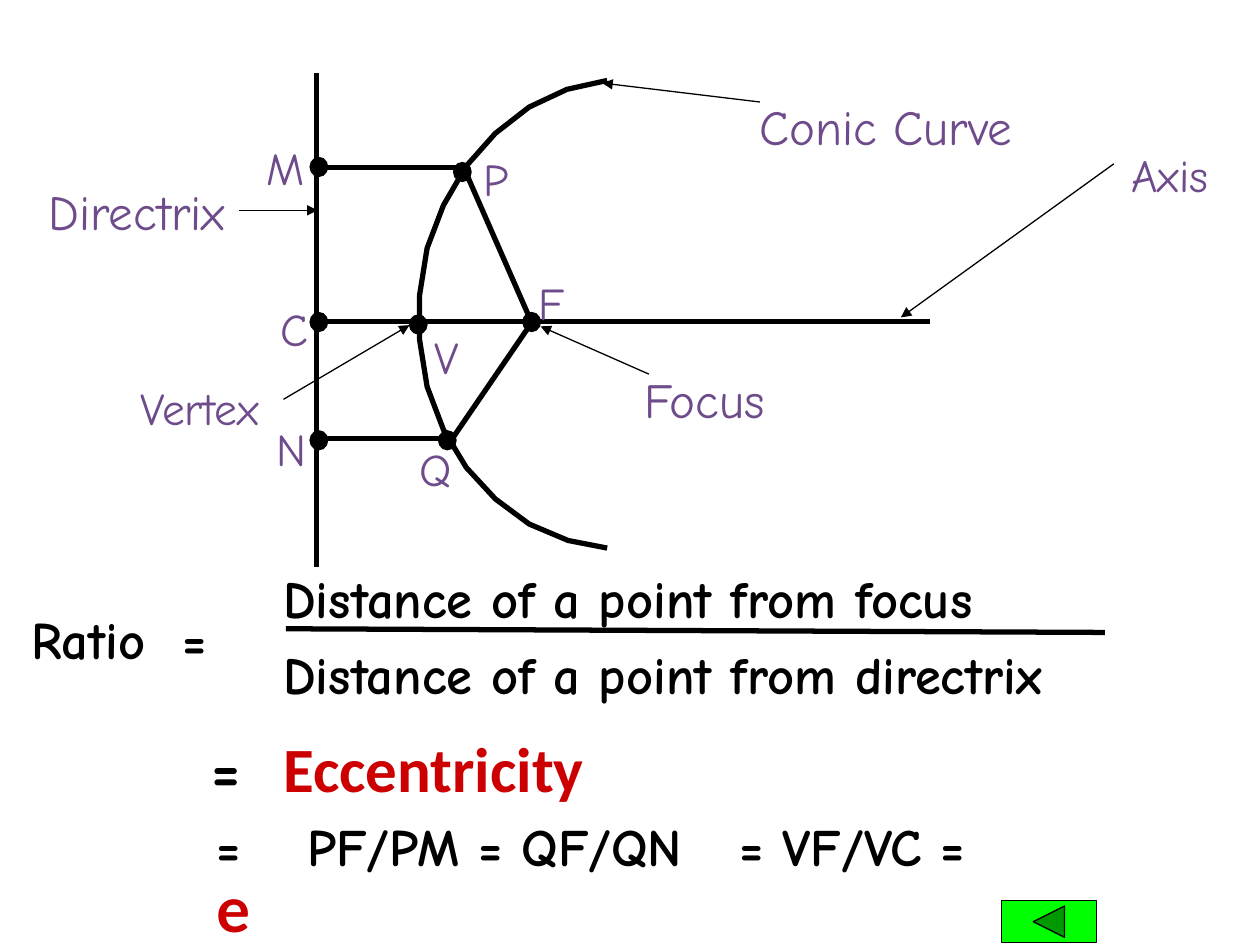
from lxml.etree import SubElement
from pptx import Presentation
from pptx.dml.color import RGBColor as RGB
from pptx.enum.shapes import MSO_CONNECTOR as CONN, MSO_SHAPE as SHAPE
from pptx.enum.text import MSO_AUTO_SIZE as FIT, PP_ALIGN as AL
from pptx.oxml.ns import qn
from pptx.util import Pt

C = {"black": "000000", "label": "6E4B8B", "red": "CC0000", "button": "00FF00"}

LABELS = [
    ("N", 149.8, 227.5, 33, 26, AL.CENTER),
    ("Q", 221.8, 239, 54, 26, AL.CENTER),
    ("M", 139.7, 67, 46.8, 26, AL.CENTER),
    ("P", 267.1, 73.4, 33, 26, AL.CENTER),
    ("F", 293.8, 144, 43.2, 26, AL.CENTER),
    ("C", 144, 159.1, 49, 26, AL.CENTER),
    ("V", 236.2, 175, 33, 26, AL.RIGHT),
    ("Axis", 629.3, 71.3, 78.5, 26, AL.CENTER),
    ("Vertex", 41.8, 204.5, 144.7, 26, AL.CENTER),
    ("Focus", 353.5, 197.3, 97.9, 28, AL.CENTER),
    ("Conic Curve", 416.2, 41.8, 180, 28, AL.CENTER),
    ("Directrix", 0, 90, 156.2, 28, AL.CENTER),
]
BOLD = {"size": Pt(30), "name": "Comic Neue", "bold": True}
BIG = {**BOLD, "size": Pt(36)}
FORMULAS = [
    ((10.8, 332.6, 149.8, 54), AL.LEFT, 1.3, [86.5], [("Ratio\t=", BOLD, "black")]),
    ((154.8, 308.9, 498.2, 54), AL.JUSTIFY, 1.3, [],
     [("Distance of a point from focus", BOLD, "black")]),
    ((154.8, 352.8, 563.8, 54), AL.JUSTIFY, 1.3, [],
     [("Distance of a point from directrix", BOLD, "black")]),
    ((113.8, 400.3, 363.6, 63.4), AL.JUSTIFY, 1.3, [41],
     [("=\t", BIG, "black"), ("Eccentricity", {**BIG, "name": "Calibri"}, "red")]),
    ((116.6, 465.8, 473.8, 78.5), AL.LEFT, 0.9, [52, 299],
     [("=\tPF/PM = QF/QN\t= VF/VC =\v", BOLD, "black"),
      ("e", {**BIG, "name": "Lato"}, "red")]),
]
LINES = [
    (180.7, 41.8, 180.7, 324),
    (180, 183.6, 531.4, 183.6),
    (180.7, 95.8, 265, 95.8),
    (181.4, 250.6, 259.2, 250.6),
    (265, 95.8, 303.8, 184.3),
    (305.3, 182.2, 258.5, 250.6),
    (163.4, 359.3, 631.4, 361.4),
]
ARROWS = [
    (636.5, 93.6, 514.8, 181.4),
    (370.8, 213.8, 308.9, 186.5),
    (434.2, 58.3, 344.2, 47.5),
    (136.8, 120.2, 181.4, 120.2),
    (162, 228.2, 234, 185.8),
]
DOT_CENTRES = [(264.2, 98.3), (255.6, 251.6), (303.8, 184), (239, 185.4),
               (182.2, 184), (182.2, 95.4), (182.2, 251.6)]
DOT_W, DOT_H = 10, 10.8
CURVE = [(347, 46), (324, 51.1), (302.4, 61.2), (283, 76.3), (266.4, 95),
         (253.4, 117.4), (244.1, 141.8), (239.8, 168.5), (239.8, 194.4),
         (244.1, 221), (253.4, 245.5), (266.4, 267.1), (283, 285.1),
         (302.4, 299.5), (324.7, 308.9), (347, 313.2)]


def paint_line(s, width):
    s.line.color.rgb = RGB.from_string(C["black"])
    s.line.width = Pt(width)


def add_text(slide, box, align, spacing, tabs, runs):
    s = slide.shapes.add_textbox(*map(Pt, box))
    tf = s.text_frame
    tf.word_wrap = True
    tf.auto_size = FIT.SHAPE_TO_FIT_TEXT
    p = tf.paragraphs[0]
    for key, value in {"alignment": align, "line_spacing": spacing}.items():
        setattr(p, key, value)
    if tabs:
        stops = SubElement(p._p.get_or_add_pPr(), qn("a:tabLst"))
        for pos in tabs:
            SubElement(stops, qn("a:tab"), pos=str(Pt(pos)), algn="l")
    for text, style, color in runs:
        r = p.add_run()
        r.text = text.rstrip("\v")
        for key, value in style.items():
            setattr(r.font, key, value)
        r.font.color.rgb = RGB.from_string(C[color])
        if text.endswith("\v"):
            p.add_line_break()


def add_line(slide, ends, width, arrow=False):
    s = slide.shapes.add_connector(CONN.STRAIGHT, *map(Pt, ends))
    paint_line(s, width)
    if arrow:
        SubElement(s.line._get_or_add_ln(), qn("a:tailEnd"), type="triangle")
    SubElement(s._element.spPr, qn("a:effectLst"))


def add_solid(slide, kind, box, color):
    s = slide.shapes.add_shape(kind, *map(Pt, box))
    s.shadow.inherit = False
    s.fill.solid()
    s.fill.fore_color.rgb = RGB.from_string(C[color])
    paint_line(s, 0.75)


def add_curve(slide):
    points = [(Pt(x), Pt(y)) for x, y in CURVE]
    builder = slide.shapes.build_freeform(*points[0])
    builder.add_line_segments(points[1:], close=False)
    s = builder.convert_to_shape()
    s.shadow.inherit = False
    s.fill.background()
    paint_line(s, 3)


def main():
    prs = Presentation()
    prs.slide_width, prs.slide_height = Pt(720), Pt(540)
    slide = prs.slides.add_slide(prs.slide_layouts[6])
    for ends in LINES:
        add_line(slide, ends, 3)
    add_curve(slide)
    for ends in ARROWS:
        add_line(slide, ends, 0.75, arrow=True)
    for x, y in DOT_CENTRES:
        add_solid(slide, SHAPE.OVAL, (x - DOT_W / 2, y - DOT_H / 2, DOT_W, DOT_H), "black")
    for text, x, y, w, size, align in LABELS:
        style = {"size": Pt(size), "name": "Comic Neue"}
        height = 47.5 if size == 26 else 51
        add_text(slide, (x, y, w, height), align, 1.3, [], [(text, style, "label")])
    for formula in FORMULAS:
        add_text(slide, *formula)
    add_solid(slide, SHAPE.ACTION_BUTTON_BACK_OR_PREVIOUS, (572.4, 514.8, 54, 23.8), "button")
    prs.save("out.pptx")


if __name__ == "__main__":
    main()
